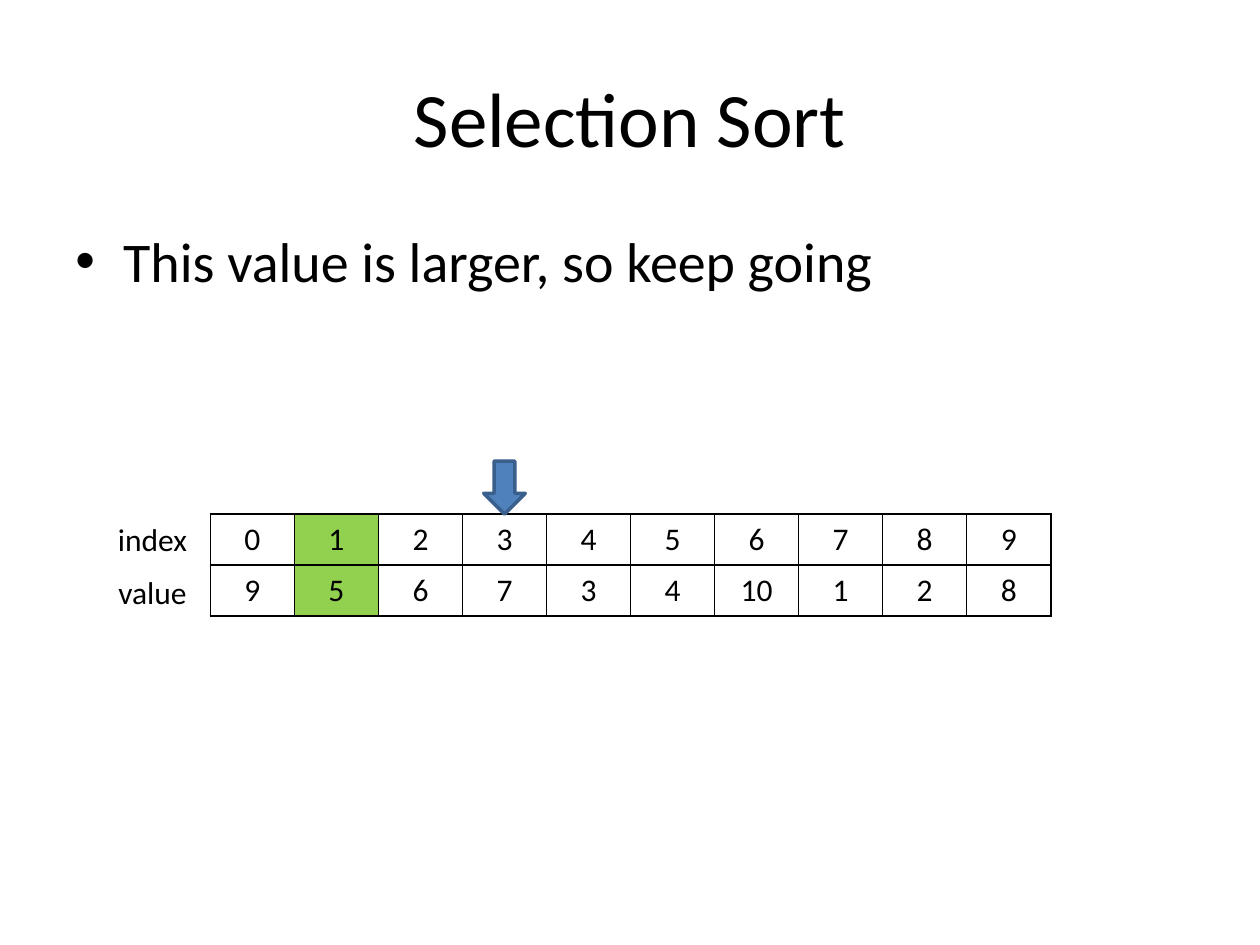
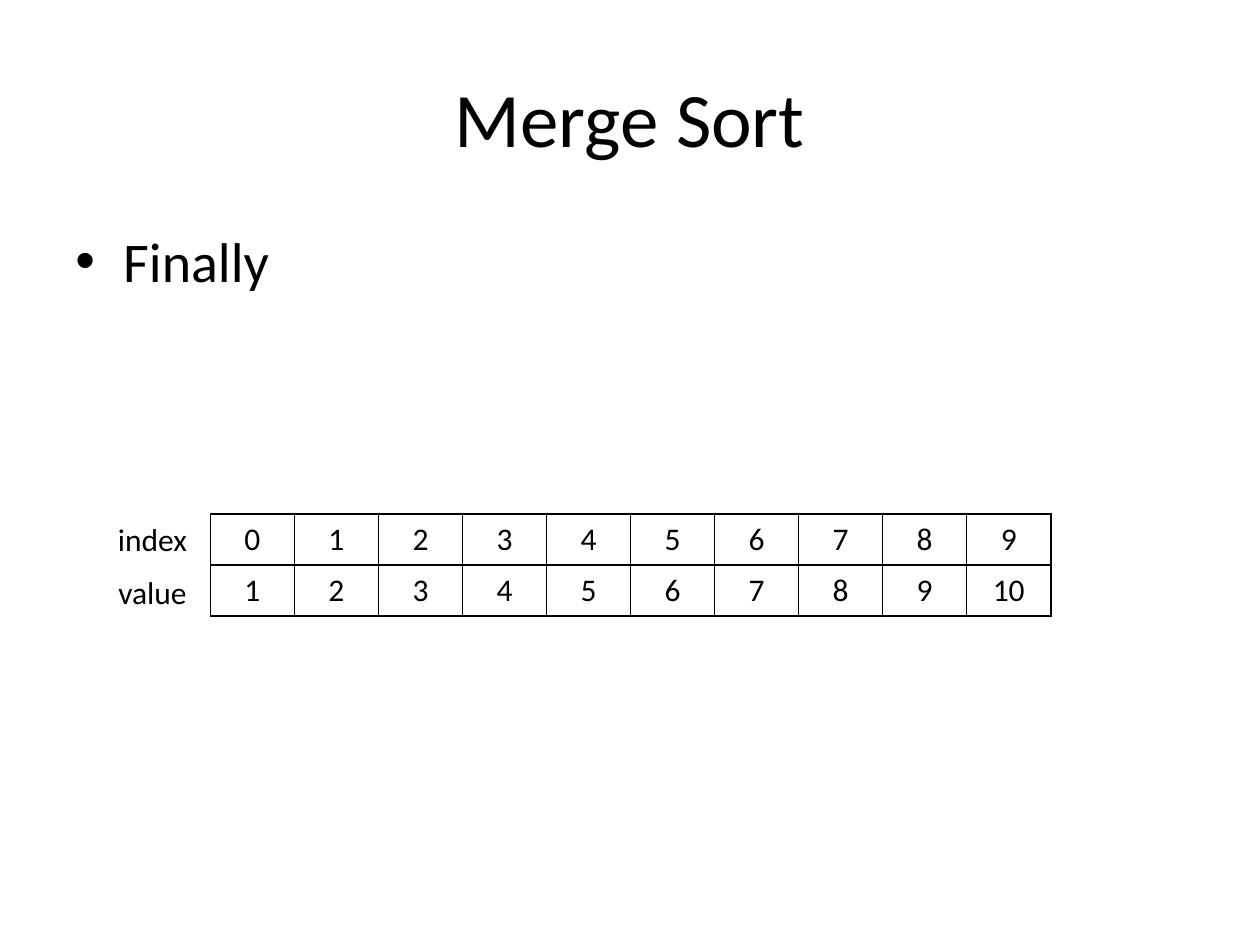
from lxml.etree import SubElement
from pptx import Presentation
from pptx.dml.color import RGBColor
from pptx.enum.shapes import MSO_SHAPE
from pptx.enum.text import MSO_ANCHOR, PP_ALIGN
from pptx.oxml.ns import qn
from pptx.util import Inches, Pt

FONT = "Calibri"
COLORS = {
    "text": "000000",
    "cell": "FFFFFF",
    "minimum": "92D050",
    "arrow": "4F81BD",
    "arrow_line": "3A5F8C",
}
TITLE_BOX = (0.5, 0.3, 9, 1.25)
BODY_BOX = (0.5, 1.75, 9, 4.95)
ARRAY_BOX = (1.67, 4.08, 6.67, 0.81)
LABEL_W, LABEL_H = 0.92, 0.42
ARROW_W, ARROW_H = 0.33, 0.42


def color(name):
    return RGBColor.from_string(COLORS[name])


def inches(*lengths):
    return [Inches(length) for length in lengths]


def write(tf, text, size, align):
    """Fill a text frame with one formatted paragraph."""
    tf.text = text
    p = tf.paragraphs[0]
    p.alignment = align
    r = p.runs[0]
    r.font.name = FONT
    r.font.size = Pt(size)
    r.font.color.rgb = color("text")


def add_title(slide, box, text):
    sp = slide.shapes.title
    sp.left, sp.top, sp.width, sp.height = inches(*box)
    sp.text_frame.vertical_anchor = MSO_ANCHOR.MIDDLE
    write(sp.text_frame, text, 44, PP_ALIGN.CENTER)


def add_text(slide, box, text, size, align):
    tf = slide.shapes.add_textbox(*inches(*box)).text_frame
    tf.word_wrap = True
    write(tf, text, size, align)
    return tf


def add_bullet(slide, box, text):
    tf = add_text(slide, box, text, 32, PP_ALIGN.LEFT)
    pPr = tf.paragraphs[0]._p.get_or_add_pPr()
    pPr.set("marL", str(Inches(0.38)))
    pPr.set("indent", str(Inches(-0.38)))
    SubElement(pPr, qn("a:buFont"), typeface="Arial")
    SubElement(pPr, qn("a:buChar"), char="•")


def add_borders(cell):
    tcPr = cell._tc.get_or_add_tcPr()
    for side in ("lnL", "lnR", "lnT", "lnB"):
        ln = SubElement(tcPr, qn(f"a:{side}"), w=str(Pt(1)))
        fill = SubElement(ln, qn("a:solidFill"))
        SubElement(fill, qn("a:srgbClr"), val=COLORS["text"])


def add_arrow(slide, center, bottom):
    sp = slide.shapes.add_shape(
        MSO_SHAPE.DOWN_ARROW,
        *inches(center - ARROW_W / 2, bottom - ARROW_H, ARROW_W, ARROW_H))
    sp.shadow.inherit = False
    sp.fill.solid()
    sp.fill.fore_color.rgb = color("arrow")
    sp.line.color.rgb = color("arrow_line")
    sp.line.width = Pt(2)


def add_array(slide, box, values, minimum=None, current=None):
    """Draw the array, its row labels and an arrow over the current index."""
    left, top, width, height = box
    rows = {"index": range(len(values)), "value": values}
    table = slide.shapes.add_table(len(rows), len(values), *inches(*box)).table
    table.first_row = table.horz_banding = False

    for i, (label, numbers) in enumerate(rows.items()):
        # Cells of this row
        for j, number in enumerate(numbers):
            cell = table.cell(i, j)
            add_borders(cell)
            cell.fill.solid()
            cell.fill.fore_color.rgb = color("minimum" if j == minimum else "cell")
            write(cell.text_frame, str(number), 18, PP_ALIGN.CENTER)
        # Label to the left of the row
        label_box = (left - LABEL_W, top + i * LABEL_H, LABEL_W, LABEL_H)
        add_text(slide, label_box, label, 18, PP_ALIGN.CENTER)

    if current is not None:
        add_arrow(slide, left + (current + 0.5) * width / len(values), top)


def add_sort_slide(prs, title, bullet, values, **marks):
    slide = prs.slides.add_slide(prs.slide_layouts[5])
    add_title(slide, TITLE_BOX, title)
    add_bullet(slide, BODY_BOX, bullet)
    add_array(slide, ARRAY_BOX, values, **marks)


def main():
    prs = Presentation()
    prs.slide_width, prs.slide_height = inches(10, 7.5)
    add_sort_slide(prs, "Selection Sort", "This value is larger, so keep going",
                   [9, 5, 6, 7, 3, 4, 10, 1, 2, 8], minimum=1, current=3)
    add_sort_slide(prs, "Merge Sort", "Finally", range(1, 11))
    prs.save("out.pptx")


if __name__ == "__main__":
    main()
